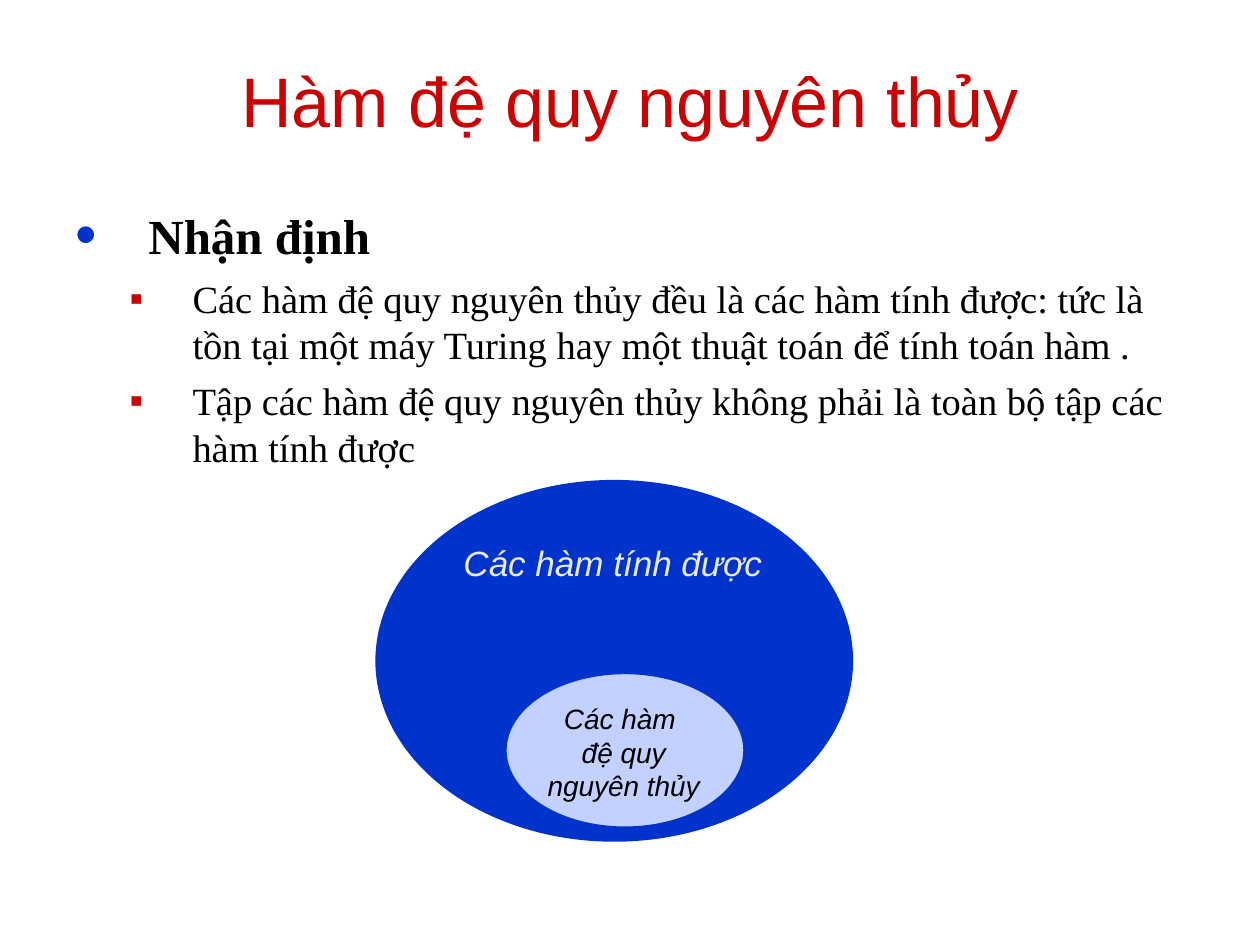
from lxml import etree
from pptx import Presentation
from pptx.dml.color import RGBColor
from pptx.enum import shapes, text
from pptx.oxml.ns import qn
from pptx.util import Inches, Pt

RED, BLUE, PALE_BLUE = "CC0000", "0033CC", "C2D1FF"
BLACK, LIGHT_GREY = "000000", "EAEAEA"


def rgb(value):
    return RGBColor.from_string(value)


def add_box(s, left, top, width, height, anchor=text.MSO_ANCHOR.TOP):
    """Add a wrapping text box and return its text frame."""
    sp = s.shapes.add_textbox(Inches(left), Inches(top), Inches(width), Inches(height))
    tf = sp.text_frame
    tf.word_wrap = True
    tf.vertical_anchor = anchor
    return tf


def add_text(tf, content, size, color=BLACK, font="Arial", bold=False,
             italic=False, align=text.PP_ALIGN.LEFT, before=0):
    """Fill the empty first paragraph, or append one, and return it."""
    p = tf.paragraphs[0]
    if p.runs:
        p = tf.add_paragraph()
    p.alignment = align
    p.space_before = Pt(before)
    r = p.add_run()
    r.text = content
    r.font.size = Pt(size)
    r.font.name = font
    r.font.bold = bold
    r.font.italic = italic
    r.font.color.rgb = rgb(color)
    return p


def set_bullet(p, char, color, margin, hanging, percent=100, level=0):
    p.level = level
    pPr = p._p.get_or_add_pPr()
    pPr.set("marL", str(Inches(margin)))
    pPr.set("indent", str(-Inches(hanging)))
    clr = etree.SubElement(pPr, qn("a:buClr"))
    etree.SubElement(clr, qn("a:srgbClr"), val=color)
    etree.SubElement(pPr, qn("a:buSzPct"), val=str(percent * 1000))
    etree.SubElement(pPr, qn("a:buFont"), typeface="Arial")
    etree.SubElement(pPr, qn("a:buChar"), char=char)


def add_ellipse(s, left, top, width, height, fill):
    sp = s.shapes.add_shape(shapes.MSO_SHAPE.OVAL, Inches(left), Inches(top),
                            Inches(width), Inches(height))
    sp.shadow.inherit = False
    sp.fill.solid()
    sp.fill.fore_color.rgb = rgb(fill)
    sp.line.color.rgb = rgb(BLUE)
    sp.line.width = Pt(3)


def add_statements(s):
    tf = add_box(s, 0.5, 1.58, 9, 5.25)
    serif = "Times New Roman"
    p = add_text(tf, "Nhận định", 28, font=serif, bold=True)
    set_bullet(p, "•", BLUE, 0.58, 0.58, percent=125)
    for statement in (
        "Các hàm đệ quy nguyên thủy đều là các hàm tính được: tức là "
        "tồn tại một máy Turing hay một thuật toán để tính toán hàm .",
        "Tập các hàm đệ quy nguyên thủy không phải là toàn bộ tập các "
        "hàm tính được",
    ):
        p = add_text(tf, statement, 22, font=serif, before=6)
        set_bullet(p, "▪", RED, 0.93, 0.5, level=1)


def add_set_diagram(s):
    add_ellipse(s, 3, 3.83, 3.75, 2.83, BLUE)
    add_ellipse(s, 4, 5.33, 1.92, 1.25, PALE_BLUE)
    tf = add_box(s, 3.58, 4.25, 2.58, 0.44)
    add_text(tf, "Các hàm tính được", 20, LIGHT_GREY, italic=True)
    tf = add_box(s, 4.2, 5.52, 1.5, 0.9)
    for line in ("Các hàm ", "đệ quy nguyên thủy"):
        add_text(tf, line, 16, italic=True, align=text.PP_ALIGN.CENTER)


def main():
    prs = Presentation()
    prs.slide_width, prs.slide_height = Inches(10), Inches(7.5)
    s = prs.slides.add_slide(prs.slide_layouts[6])
    title = add_box(s, 0.5, 0.25, 9, 1.08, text.MSO_ANCHOR.MIDDLE)
    add_text(title, "Hàm đệ quy nguyên thủy", 40, RED, align=text.PP_ALIGN.CENTER)
    add_statements(s)
    add_set_diagram(s)
    prs.save("out.pptx")


if __name__ == "__main__":
    main()
